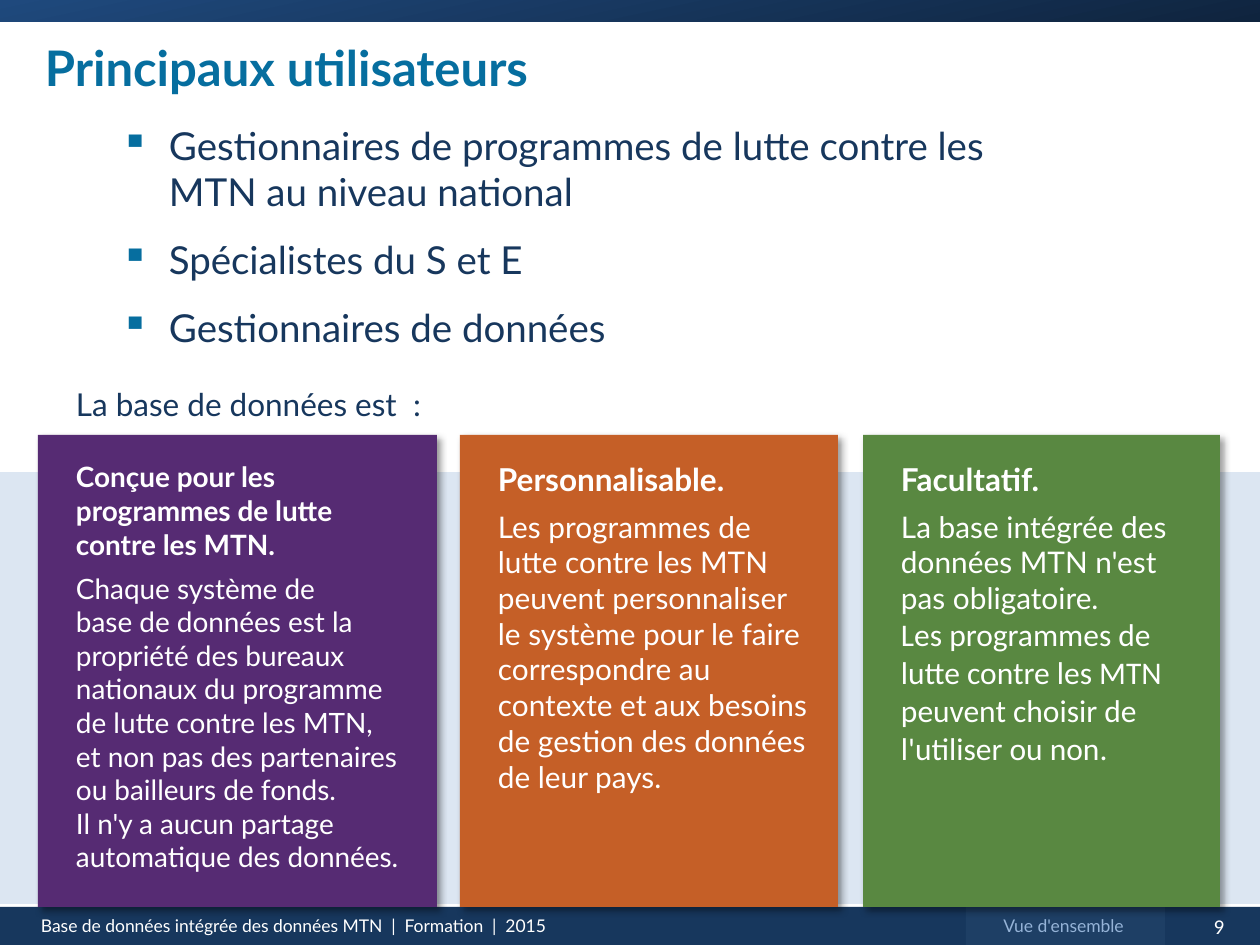
from lxml.etree import SubElement
from pptx import Presentation
from pptx.dml.color import RGBColor
from pptx.enum.shapes import MSO_SHAPE as Shape
from pptx.enum.text import MSO_ANCHOR as Anchor, PP_ALIGN as Align
from pptx.oxml.ns import qn
from pptx.util import Pt

EMU_PER_PX = 914400 / 126
WHITE, NAVY, TEAL = "FFFFFF", "17375D", "066E9F"

# Content: boxes are left, top, width, height in px
BANDS = [
    ((0, 907, 1261, 40), NAVY),
    ((966, 907, 199, 39), "1E3F65"),
    ((0, 472, 1260, 432), "DCE6F2"),
]
LABELS = [
    ("9", (1178, 907, 82, 38), dict(size=12, name="Calibri", color=WHITE), Align.CENTER),
    ("Base de données intégrée des données MTN  |  Formation  |  2015",
     (28, 908, 571, 34), dict(size=10, color=WHITE), Align.LEFT),
    ("Vue d'ensemble", (966, 908, 195, 34), dict(size=10, color="95B3D7"), Align.CENTER),
    ("La base de données est \u00a0:", (63, 379, 438, 50), dict(size=18, color=NAVY), Align.LEFT),
    ("Principaux utilisateurs", (32, 29, 575, 76), dict(size=28, color=TEAL, bold=True), Align.LEFT),
]
USERS = [
    "Gestionnaires de programmes de lutte contre les MTN au niveau national",
    "Spécialistes du S et E",
    "Gestionnaires de données",
]
USERS_BOX = (84, 116, 966, 665)
# Cards: left, width, colour, heading, heading size, body runs (text, format)
CARDS = [
    (38, 399, "562B73", "Conçue pour les programmes de lutte contre les MTN.", 16,
     [("Chaque système de\nbase de données est la propriété des bureaux nationaux du programme "
       "de lutte contre les MTN,\net non pas des partenaires ou bailleurs de fonds.\n"
       "Il n'y a aucun partage automatique des données.", dict(size=16))]),
    (460, 378, "C55F27", "Personnalisable.", 18,
     [("Les programmes de lutte contre les MTN peuvent personnaliser\nle système pour le faire "
       "correspondre au contexte et aux besoins de gestion des données de leur pays.",
       dict(size=17))]),
    (863, 357, "598841", "Facultatif.", 18,
     [("La base intégrée des données MTN n'est pas obligatoire.\n", dict(size=17)),
      ("Les programmes de\nlutte contre les MTN peuvent choisir de l'utiliser ou non.",
       dict(size=18, name="Calibri"))]),
]
CARD_TOP, CARD_HEIGHT = 435, 472


def px(length):
    return int(length * EMU_PER_PX)


def rgb(color):
    return RGBColor.from_string(color)


def add_band(slide, box, color=None):
    band = slide.shapes.add_shape(Shape.RECTANGLE, *map(px, box))
    band.shadow.inherit = False
    band.line.fill.background()
    if color:
        band.fill.solid()
        band.fill.fore_color.rgb = rgb(color)
    return band


def set_frame(frame, anchor, insets):
    frame.word_wrap = True
    frame.vertical_anchor = anchor
    for side, inset in zip(("left", "top", "right", "bottom"), insets):
        setattr(frame, f"margin_{side}", px(inset))


def add_text(paragraph, text, color, **font_format):
    for index, line in enumerate(text.split("\n")):
        if index:
            paragraph.add_line_break()
        if line:
            run = paragraph.add_run()
            run.text = line
            for key, value in (dict(name="Lato", bold=False) | font_format).items():
                setattr(run.font, key, Pt(value) if key == "size" else value)
            run.font.color.rgb = rgb(color)


def add_bullet(paragraph):
    props = paragraph._p.get_or_add_pPr()
    props.set("marL", str(px(72)))
    props.set("indent", str(px(-48)))
    bullet_color = SubElement(props, qn("a:buClr"))
    SubElement(bullet_color, qn("a:srgbClr"), val=TEAL)
    SubElement(props, qn("a:buChar"), char="▪")


def add_shadow(card):
    effects = card._element.spPr.find(qn("a:effectLst"))
    shadow = SubElement(effects, qn("a:outerShdw"), blurRad=str(Pt(4)), dist=str(Pt(3)),
                        dir="2700000", algn="tl", rotWithShape="0")
    shade = SubElement(shadow, qn("a:srgbClr"), val="000000")
    SubElement(shade, qn("a:alpha"), val="40000")


def add_card(slide, left, width, color, heading, heading_size, body):
    card = add_band(slide, (left, CARD_TOP, width, CARD_HEIGHT), color)
    add_shadow(card)
    frame = card.text_frame
    set_frame(frame, Anchor.TOP, (38, 25, 25, 0))
    title, detail = frame.paragraphs[0], frame.add_paragraph()
    for paragraph in (title, detail):
        paragraph.alignment = Align.LEFT
    title.space_after = Pt(6)
    add_text(title, heading, WHITE, size=heading_size, bold=True)
    for text, font_format in body:
        add_text(detail, text, WHITE, **font_format)


def main():
    deck = Presentation()
    deck.slide_width, deck.slide_height = px(1260), px(945)
    slide = deck.slides.add_slide(deck.slide_layouts[6])

    # Top gradient strip, footer and background bands
    strip = add_band(slide, (0, 0, 1261, 22))
    strip.fill.gradient()
    strip.fill.gradient_angle = 282
    for stop, color in zip(strip.fill.gradient_stops, ("1F497D", "0F243E")):
        stop.color.rgb = rgb(color)
    for box, color in BANDS:
        add_band(slide, box, color)

    # Title, lead-in and footer texts
    for text, box, font_format, align in LABELS:
        frame = slide.shapes.add_textbox(*map(px, box)).text_frame
        set_frame(frame, Anchor.MIDDLE, (13, 6, 13, 6))
        frame.paragraphs[0].alignment = align
        add_text(frame.paragraphs[0], text, **font_format)

    # Bulleted users
    frame = slide.shapes.add_textbox(*map(px, USERS_BOX)).text_frame
    set_frame(frame, Anchor.TOP, (13, 6, 13, 6))
    for index, user in enumerate(USERS):
        paragraph = frame.add_paragraph() if index else frame.paragraphs[0]
        paragraph.space_before, paragraph.space_after = Pt(4.4), Pt(8)
        add_bullet(paragraph)
        add_text(paragraph, user, NAVY, size=22)

    # Cards
    for card in CARDS:
        add_card(slide, *card)

    deck.save("out.pptx")


if __name__ == "__main__":
    main()
